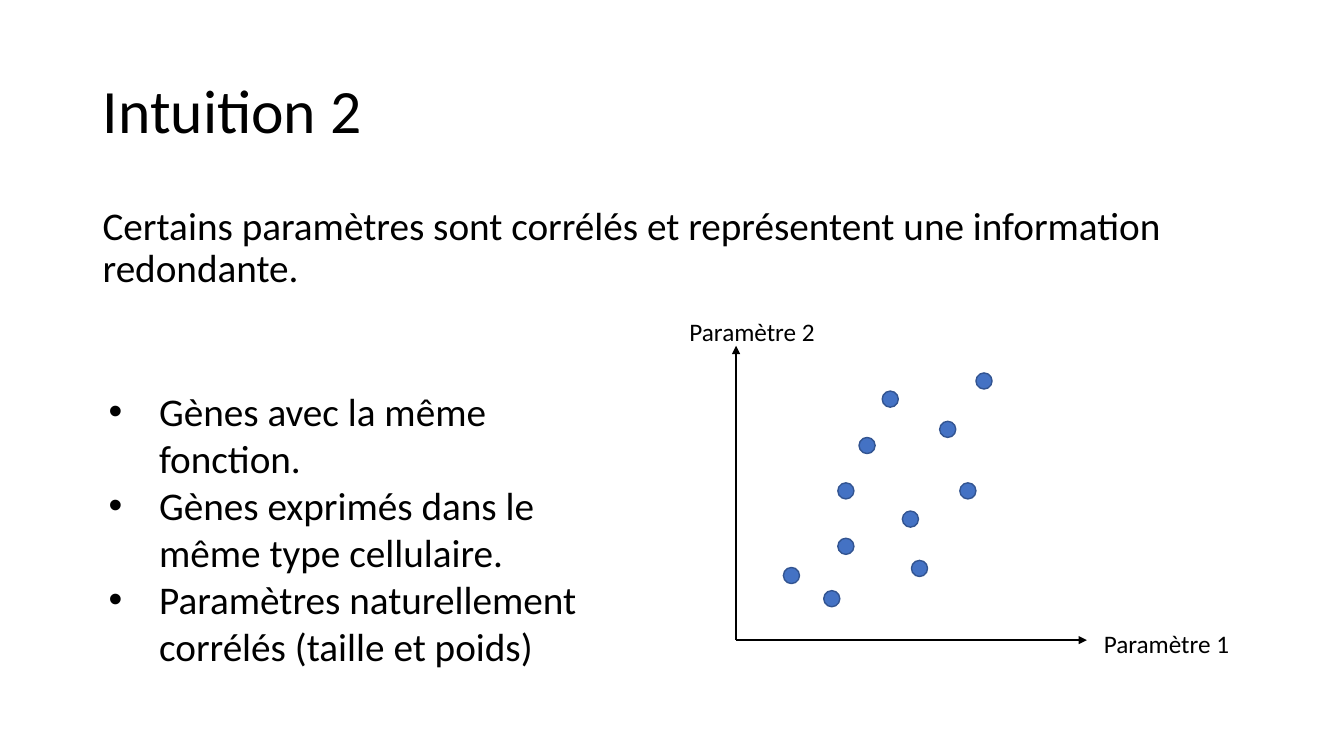
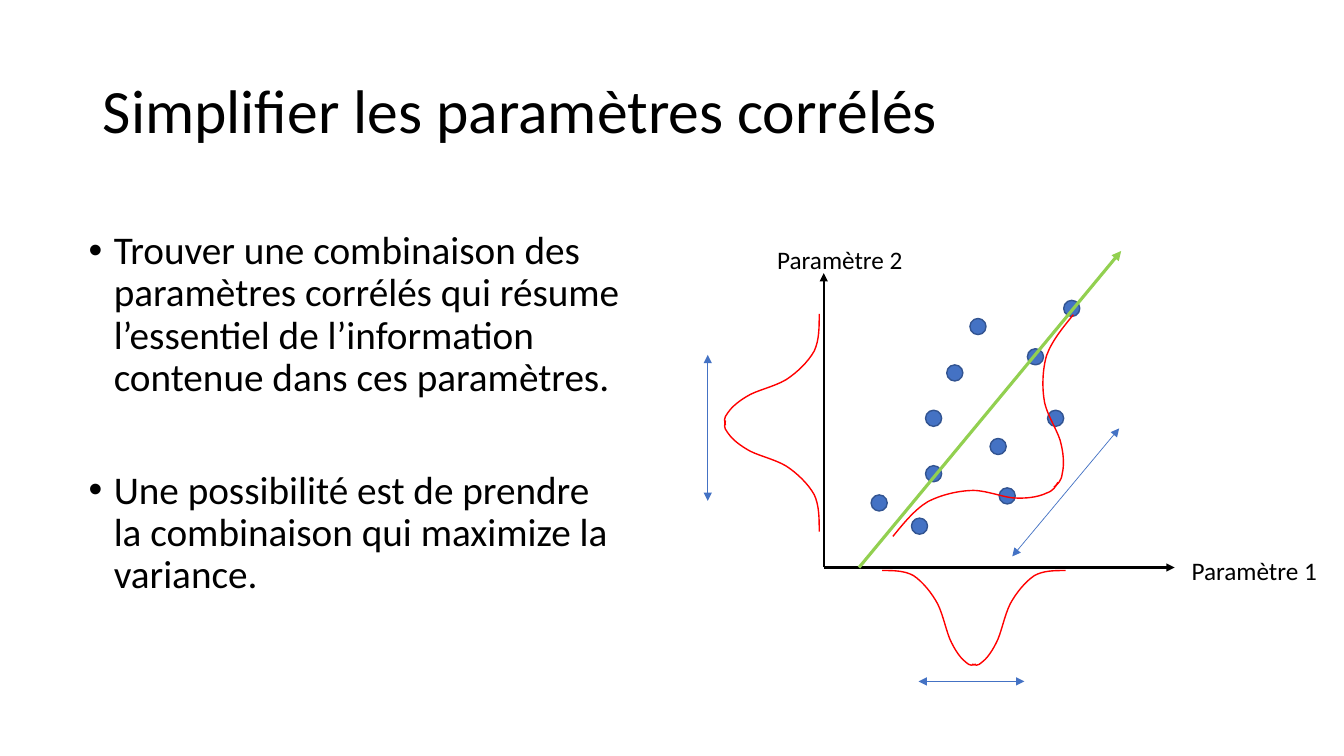
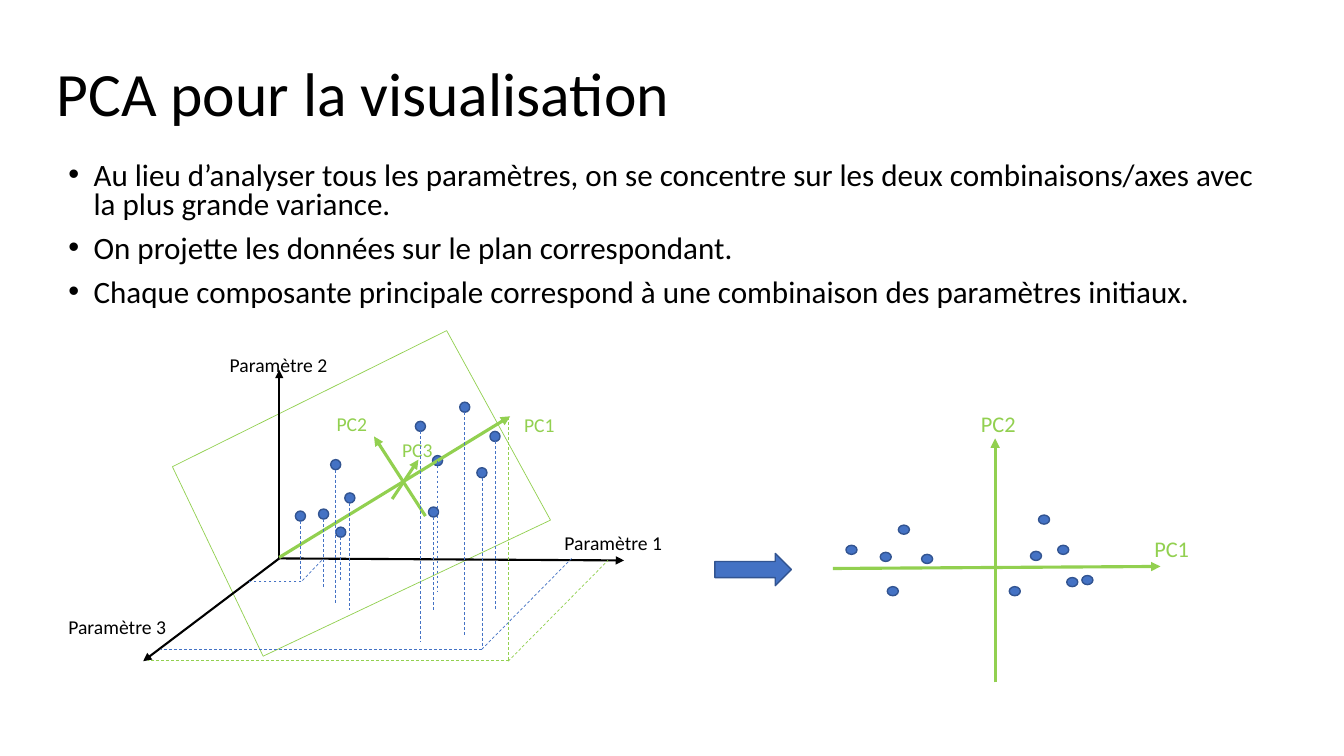
from dataclasses import dataclass
from itertools import pairwise
from math import atan2, degrees, hypot

from lxml import etree
from pptx import Presentation
from pptx import util as u
from pptx.dml.color import RGBColor
from pptx.enum import dml, shapes, text
from pptx.oxml.ns import qn

PX = 9144


@dataclass(frozen=True)
class Theme:
    font: str = "Calibri"
    mark: str = "Arial"
    ink: str = "000000"
    blue: str = "4472C4"
    edge: str = "325491"
    green: str = "92D050"
    red: str = "FF0000"
    title: int = 44
    body: int = 28
    dense: float = 22.2
    axis: int = 18
    tag: int = 16
    small: int = 14
    thin: float = 0.5
    rim: float = 1
    bold: float = 1.5
    heavy: float = 2.25


T = Theme()
SCATTER = [(145, -247), (101, -156), (165, -128), (222, -156), (47, -72),
           (238, -265), (174, -79), (122, -201), (101, -101), (87, -49),
           (202, -217)]
CLOUD = [(196, -90, 90), (51, -98, 45), (209, -126, 51), (152, -102, 32),
         (16, -47, 22), (179, -155, 77), (39, -49, 28), (135, -136, 83),
         (65, -65, 51), (56, -31, 22), (148, -51, 51)]
FLAT = [(-114, -15), (86, 8), (43, -52), (35, -16), (71, 10), (62, -22),
        (-148, -22), (-107, 19), (-96, -42), (-73, -13), (14, 19)]
HALF = [(0, 0), (11, 0), (22, 0), (31, 5), (40, 11), (49, 22), (55, 33),
        (61, 45), (64, 63), (69, 72), (74, 82), (79, 88), (83, 91),
        (87, 95), (90, 94), (93, 93)]
WIDE, DEEP, FULL = 93, 94, 182


def rgb(code):
    return RGBColor.from_string(code)


def px(*vals):
    return [round(v * PX) for v in vals]


def style(par, size, color=T.ink, lead=None, gap=0):
    if lead:
        par.line_spacing = lead
    par.space_before = u.Pt(gap)
    par.alignment = text.PP_ALIGN.LEFT
    par.font.name = T.font
    par.font.size = u.Pt(size)
    par.font.color.rgb = rgb(color)


def bullet(par, indent):
    props = par._p.get_or_add_pPr()
    props.set("marL", str(indent * PX))
    props.set("indent", str(-indent * PX))
    etree.SubElement(props, qn("a:buFont")).set("typeface", T.mark)
    etree.SubElement(props, qn("a:buChar")).set("char", "•")


def write(slide, box, lines, size, color=T.ink, lead=None, gap=0, indent=0):
    frame = slide.shapes.add_textbox(*px(*box)).text_frame
    frame.word_wrap = True
    for i, line in enumerate(lines):
        par = frame.add_paragraph() if i else frame.paragraphs[0]
        par.text = line
        if indent:
            bullet(par, indent)
        style(par, size, color, lead, gap if i else 0)


def titled(deck, words, x=92, y=40):
    slide = deck.slides.add_slide(deck.slide_layouts[5])
    title = slide.shapes.title
    title.left, title.top, title.width, title.height = px(x, y, 1150, 145)
    frame = title.text_frame
    frame.text = words
    frame.auto_size = text.MSO_AUTO_SIZE.NONE
    frame.vertical_anchor = text.MSO_ANCHOR.MIDDLE
    style(frame.paragraphs[0], T.title, lead=0.9)
    return slide


def solid(slide, kind, box):
    shape = slide.shapes.add_shape(kind, *px(*box))
    shape.shadow.inherit = False
    shape.fill.solid()
    shape.fill.fore_color.rgb = rgb(T.blue)
    shape.line.color.rgb = rgb(T.edge)
    shape.line.width = u.Pt(T.rim)


def curve(slide, knots, turn):
    pen = slide.shapes.build_freeform(*px(*knots[0]), scale=1.0)
    pen.add_line_segments([px(*knot) for knot in knots[1:]], close=False)
    shape = pen.convert_to_shape()
    steps = list(shape._element.iter(qn("a:lnTo")))
    for i in range(0, len(steps), 3):
        bend = etree.Element(qn("a:cubicBezTo"))
        steps[i].addprevious(bend)
        for step in steps[i:i + 3]:
            bend.append(step[0])
            step.getparent().remove(step)
    shape.rotation = turn
    shape.shadow.inherit = False
    shape.fill.background()
    shape.line.color.rgb = rgb(T.red)
    shape.line.width = u.Pt(T.rim)


@dataclass
class Plot:
    slide: object
    x: int
    y: int

    def line(self, start, end, color, width, heads=(), dash=False):
        ends = [c + o for c, o in zip(start + end, (self.x, self.y) * 2)]
        link = self.slide.shapes.add_connector(
            shapes.MSO_CONNECTOR.STRAIGHT, *px(*ends))
        link.line.color.rgb = rgb(color)
        link.line.width = u.Pt(width)
        if dash:
            link.line.dash_style = dml.MSO_LINE.DASH
        for head in heads:
            mark = etree.SubElement(link.line._ln, qn(f"a:{head}"))
            mark.set("type", "triangle")
        etree.SubElement(link._element.spPr, qn("a:effectLst"))

    def arrow(self, start, end, color=T.ink, width=T.bold):
        self.line(start, end, color, width, ["tailEnd"])

    def span(self, start, end):
        self.line(start, end, T.blue, T.thin, ["headEnd", "tailEnd"])

    def trace(self, points, color, dash=False):
        for start, end in pairwise(points):
            self.line(start, end, color, T.thin, dash=dash)

    def dots(self, spots, wide, high):
        for x, y, *_ in spots:
            solid(self.slide, shapes.MSO_SHAPE.OVAL,
                  (self.x + x, self.y + y, wide, high))

    def label(self, words, x, y, wide, size, color=T.ink):
        write(self.slide, (self.x + x, self.y + y, wide, 34), [words],
              size, color)

    def bell(self, start, end):
        dx, dy = end[0] - start[0], end[1] - start[1]
        size = hypot(dx, dy)
        ux, uy = dx / size, dy / size
        grow = size / FULL
        turn = degrees(atan2(uy, ux)) % 360
        group = self.slide.shapes.add_group_shape()
        for side, mid in [(1, WIDE / 2), (-1, FULL - WIDE / 2)]:
            cx = self.x + start[0] + mid * grow * ux - DEEP / 2 * uy
            cy = self.y + start[1] + mid * grow * uy + DEEP / 2 * ux
            knots = [(cx + side * (a - WIDE / 2) * grow, cy + d - DEEP / 2)
                     for a, d in HALF]
            curve(group, knots, turn)


def scatter(slide, x, y):
    plot = Plot(slide, x, y)
    plot.arrow((0, 0), (348, 0))
    plot.arrow((0, 0), (0, -292))
    plot.label("Paramètre 1", 355, -17, 150, T.axis)
    plot.label("Paramètre 2", -56, -326, 150, T.axis)
    plot.dots(SCATTER, 16, 16)
    return plot


def spread(plot):
    plot.arrow((35, 0), (295, -314), T.green, T.heavy)
    plot.bell((58, 3), (240, 3))
    plot.bell((-5, -252), (-5, -36))
    plot.span((94, 113), (199, 113))
    plot.span((-115, -211), (-115, -66))
    plot.bell((69, -31), (248, -251))
    plot.span((293, -138), (187, -11))


def plane(slide, x, y):
    edge = [(-106, -91), (166, -226), (269, -38), (-16, 97)]
    Plot(slide, x, y).trace(edge + edge[:1], T.green)


def space(slide, x, y):
    plot = Plot(slide.shapes.add_group_shape(), x, y)
    for tip in [(342, 2), (0, -187), (-135, 102)]:
        plot.arrow((0, 0), tip)
    plot.label("Paramètre 1", 273, -32, 138, T.small)
    plot.label("Paramètre 2", -59, -209, 119, T.small)
    plot.label("Paramètre 3", -219, 51, 143, T.small)
    plot.dots(CLOUD, 10, 10)
    for start, end in [((0, -1), (229, -141)), ((145, -42), (94, -121)),
                       ((112, -59), (138, -98))]:
        plot.arrow(start, end, T.green, T.heavy)
    for words, left, top in [("PC3", 112, -124), ("PC2", 47, -150),
                             ("PC1", 233, -149)]:
        plot.label(words, left, top, 57, T.small, T.green)
    plot.trace([(227, -140), (227, 102), (326, 2)], T.green, True)
    plot.trace([(228, 101), (-130, 101)], T.green, True)
    for left, top, foot in CLOUD:
        plot.trace([(left + 5, top + 5), (left + 5, foot)], T.blue, True)
    plot.trace([(42, 2), (22, 23), (-30, 23)], T.blue, True)
    plot.trace([(290, 0), (201, 90), (-117, 90)], T.blue, True)


def flat(slide, x, y):
    plot = Plot(slide, x, y)
    plot.arrow((-161, 1), (164, -1), T.green, T.heavy)
    plot.arrow((0, 114), (0, -128), T.green, T.heavy)
    plot.dots(FLAT, 11, 9)
    plot.label("PC2", -24, -161, 60, T.tag, T.green)
    plot.label("PC1", 148, -37, 60, T.tag, T.green)


def insight(deck):
    slide = titled(deck, "Intuition 2")
    write(slide, (92, 200, 1170, 146), [
        "Certains paramètres sont corrélés et représentent une information "
        "redondante."], T.body, lead=0.9)
    scatter(slide, 730, 635)
    write(slide, (98, 379, 498, 293), [
        "Gènes avec la même fonction.",
        "Gènes exprimés dans le même type cellulaire.",
        "Paramètres naturellement corrélés (taille et poids)",
    ], T.body, indent=50)


def simplify(deck):
    slide = titled(deck, "Simplifier les paramètres corrélés")
    write(slide, (78, 224, 551, 476), [
        "Trouver une combinaison des paramètres corrélés qui résume "
        "l’essentiel de l’information contenue dans ces paramètres.",
        "Une possibilité est de prendre la combinaison qui maximize la "
        "variance.",
    ], T.body, lead=0.9, gap=50, indent=25)
    spread(scatter(slide, 817, 563))


def visual(deck):
    slide = titled(deck, "PCA pour la visualisation", 46, 23)
    write(slide, (58, 156, 1217, 168), [
        "Au lieu d’analyser tous les paramètres, on se concentre sur les "
        "deux combinaisons/axes avec la plus grande variance.",
        "On projette les données sur le plan correspondant.",
        "Chaque composante principale correspond à une combinaison des "
        "paramètres initiaux.",
    ], T.dense, lead=0.8, gap=10, indent=25)
    plane(slide, 277, 554)
    flat(slide, 987, 563)
    solid(slide, shapes.MSO_SHAPE.RIGHT_ARROW, (709, 549, 76, 32))
    space(slide, 277, 554)


def main():
    deck = Presentation()
    deck.slide_width, deck.slide_height = px(1333, 750)
    insight(deck)
    simplify(deck)
    visual(deck)
    deck.save("out.pptx")


if __name__ == "__main__":
    main()
